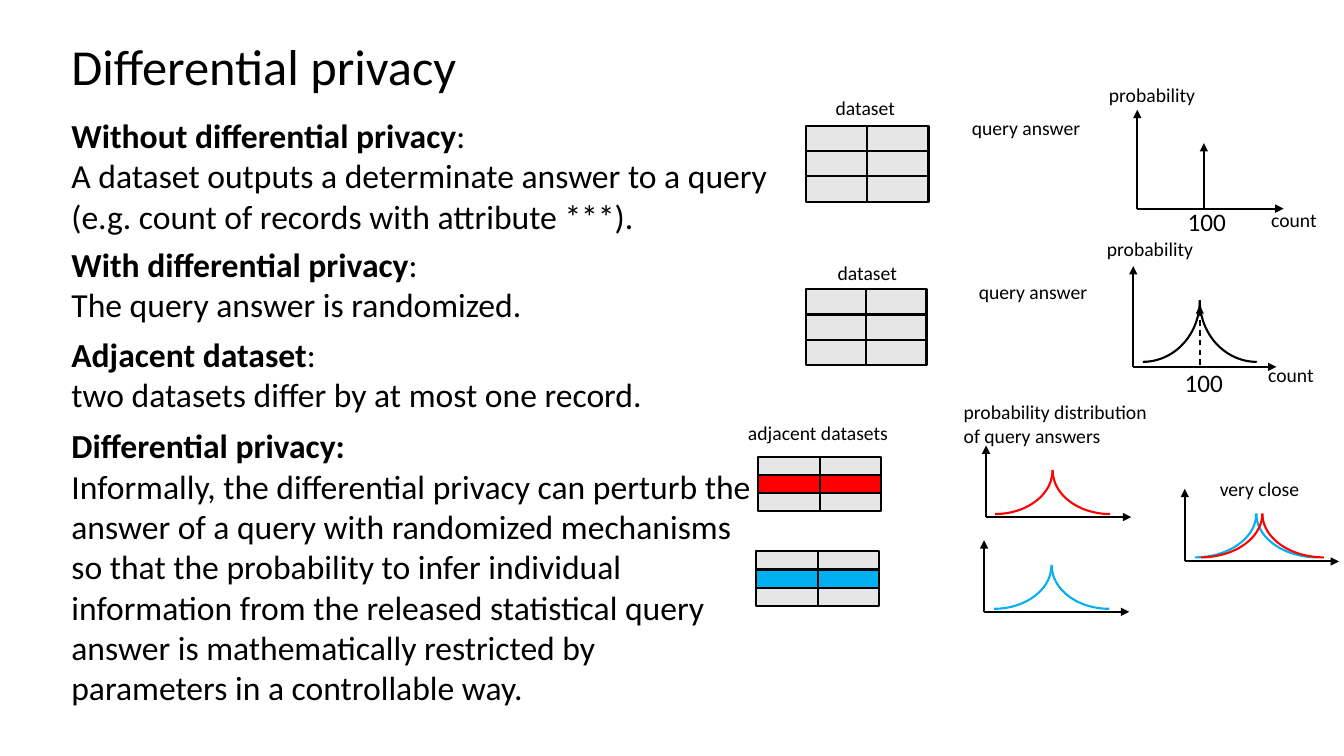
from dataclasses import dataclass

from lxml import etree
from pptx import Presentation
from pptx.dml.color import RGBColor
from pptx.enum.dml import MSO_LINE
from pptx.enum.shapes import MSO_CONNECTOR, MSO_SHAPE
from pptx.enum.text import MSO_AUTO_SIZE
from pptx.oxml.ns import qn
from pptx.util import Inches, Pt

RECT, ARC = MSO_SHAPE.RECTANGLE, MSO_SHAPE.ARC
STRAIGHT = MSO_CONNECTOR.STRAIGHT
DASH = MSO_LINE.DASH
FIT = MSO_AUTO_SIZE.SHAPE_TO_FIT_TEXT


@dataclass(frozen=True)
class Theme:
    font: str = "Calibri"
    ink: RGBColor = RGBColor(0x00, 0x00, 0x00)
    gray: RGBColor = RGBColor(0xE7, 0xE6, 0xE6)
    red: RGBColor = RGBColor(0xFF, 0x00, 0x00)
    blue: RGBColor = RGBColor(0x00, 0xB0, 0xF0)
    title: int = 36
    body: int = 24
    value: int = 18
    label: int = 14
    line: float = 1.5
    thin: float = 1


class Canvas:
    def __init__(self, slide, theme):
        self.slide = slide
        self.theme = theme

    def text(self, box, paras, size, wrap=True):
        """Each paragraph is a list of (text, bold) runs."""
        shape = self.slide.shapes.add_textbox(*map(Inches, box))
        frame = shape.text_frame
        frame.word_wrap = wrap
        frame.auto_size = FIT
        for i, runs in enumerate(paras):
            para = frame.add_paragraph() if i else frame.paragraphs[0]
            for words, bold in runs:
                run = para.add_run()
                run.text = words
                run.font.name = self.theme.font
                run.font.size = Pt(size)
                run.font.bold = bold
                run.font.color.rgb = self.theme.ink

    def label(self, words, box, size=None, wrap=True):
        self.text(box, [[(words, False)]], size or self.theme.label, wrap)

    def shape(self, kind, box, color):
        shape = self.slide.shapes.add_shape(kind, *map(Inches, box))
        shape.shadow.inherit = False
        shape.line.color.rgb = color
        shape.line.width = Pt(self.theme.line)
        return shape

    def grid(self, left, top, width, height, fills):
        """Two columns, one row for each fill colour."""
        for row, fill in enumerate(fills):
            for col in range(2):
                box = (left + col * width, top + row * height, width, height)
                cell = self.shape(RECT, box, self.theme.ink)
                cell.fill.solid()
                cell.fill.fore_color.rgb = fill

    def arrow(self, start, end, dashed=False):
        link = self.slide.shapes.add_connector(
            STRAIGHT, *map(Inches, (*start, *end)))
        link.line.color.rgb = self.theme.ink
        link.line.width = Pt(self.theme.thin if dashed else self.theme.line)
        if dashed:
            link.line.dash_style = DASH
        props = link._element.spPr
        tail = etree.SubElement(props.find(qn("a:ln")), qn("a:tailEnd"))
        tail.set("type", "triangle")
        etree.SubElement(props, qn("a:effectLst"))

    def axes(self, x, y, width, height):
        self.arrow((x, y), (x + width, y))
        self.arrow((x, y), (x, y - height))

    def peak(self, x, top, width, height, color):
        """Two quarter arcs that meet in a cusp at x."""
        # Arc angles are in units of 100000/60000 degrees
        for left, start, end in ((x, 54, 108), (x - width, 0, 54)):
            arc = self.shape(ARC, (left, top, width, height), color)
            arc.fill.background()
            arc.adjustments[0] = start
            arc.adjustments[1] = end


def main():
    deck = Presentation()
    deck.slide_width, deck.slide_height = Inches(13.33), Inches(7.5)
    theme = Theme()
    art = Canvas(deck.slides.add_slide(deck.slide_layouts[6]), theme)

    # Title and definitions
    art.label("Differential privacy", (0.61, 0.3, 11.48, 0.71), theme.title)
    notions = [
        (1.09, 7.26, 1.31, "Without differential privacy", ":",
         "A dataset outputs a determinate answer to a query "
         "(e.g. count of records with attribute ***)."),
        (2.37, 7.61, 0.91, "With differential privacy", ":",
         "The query answer is randomized."),
        (3.26, 8.47, 0.91, "Adjacent dataset", ":",
         "two datasets differ by at most one record."),
        (4.17, 6.94, 2.93, "Differential privacy:", "",
         "Informally, the differential privacy can perturb the answer of a "
         "query with randomized mechanisms so that the probability to infer "
         "individual information from the released statistical query answer "
         "is mathematically restricted by parameters in a controllable way."),
    ]
    for top, width, height, term, colon, words in notions:
        head = [(term, True)] + ([(colon, False)] if colon else [])
        art.text((0.61, top, width, height),
                 [head, [(words, False)]], theme.body)

    # Exact answer, then randomized answer
    plain = [theme.gray] * 3
    art.grid(7.99, 1.25, 0.61, 0.25, plain)
    art.axes(11.28, 2.07, 1.45, 0.98)
    art.arrow((11.94, 2.07), (11.94, 1.42))
    art.grid(7.99, 2.87, 0.6, 0.25, plain)
    art.axes(11.24, 3.64, 1.42, 1)
    art.peak(11.9, 2.37, 1.13, 1.22, theme.ink)
    art.arrow((11.9, 3.62), (11.9, 3.03), dashed=True)

    # Labels of both plots: text, width, wrap, place in each plot
    labels = [
        ("dataset", 0.8, False, (8.19, 0.9), (8.21, 2.54)),
        ("query answer", 1.63, True, (9.54, 1.1), (9.61, 2.73)),
        ("count", 0.66, False, (12.51, 2.01), (12.48, 3.55)),
        ("probability", 1.07, False, (10.9, 0.77), (10.88, 2.3)),
    ]
    for words, width, wrap, *spots in labels:
        for spot in spots:
            art.label(words, (*spot, width, 0.34), wrap=wrap)
    for spot in ((11.68, 2), (11.65, 3.59)):
        art.label("100", (*spot, 0.84, 0.4), theme.value)

    # Adjacent datasets and their distributions
    art.axes(11.75, 5.57, 1.53, 0.72)
    art.peak(12.46, 4.66, 1.22, 0.87, theme.blue)
    art.peak(12.52, 4.66, 1.22, 0.87, theme.red)
    pairs = [
        (theme.red, 7.52, 4.53, 9.78, 10.44),
        (theme.blue, 7.5, 5.47, 9.76, 10.43),
    ]
    for color, left, top, axis, crest in pairs:
        art.grid(left, top, 0.61, 0.18, [theme.gray, color, theme.gray])
        art.axes(axis, top + 0.6, 1.44, 0.71)
        art.peak(crest, top - 0.3, 1.14, 0.87, color)
    art.label("adjacent datasets", (7.32, 4.13, 1.61, 0.34), wrap=False)
    art.label("probability distribution of query answers",
              (9.46, 3.92, 2.14, 0.57))
    art.label("very close", (12, 4.68, 1.1, 0.34))

    deck.save("out.pptx")


if __name__ == "__main__":
    main()
